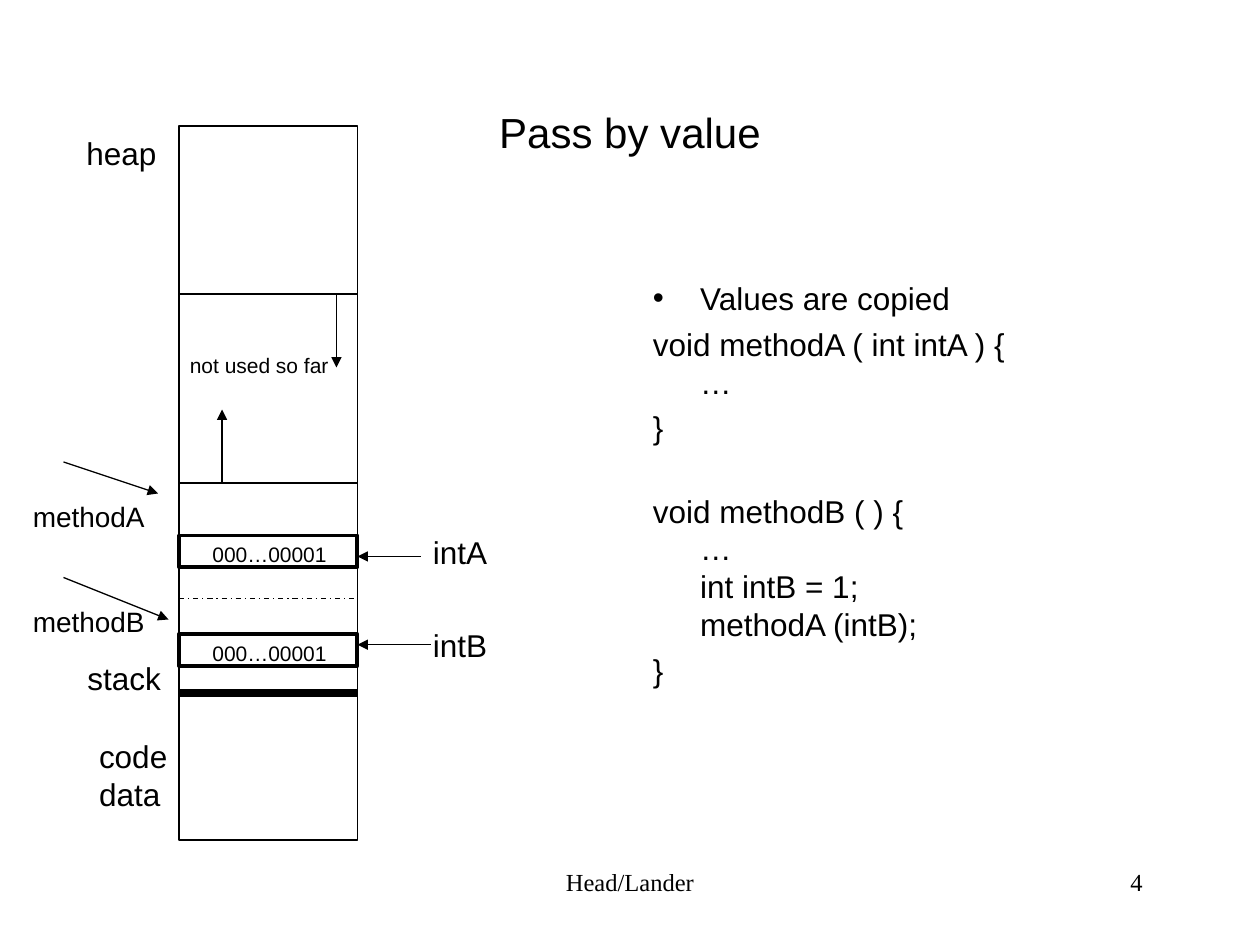
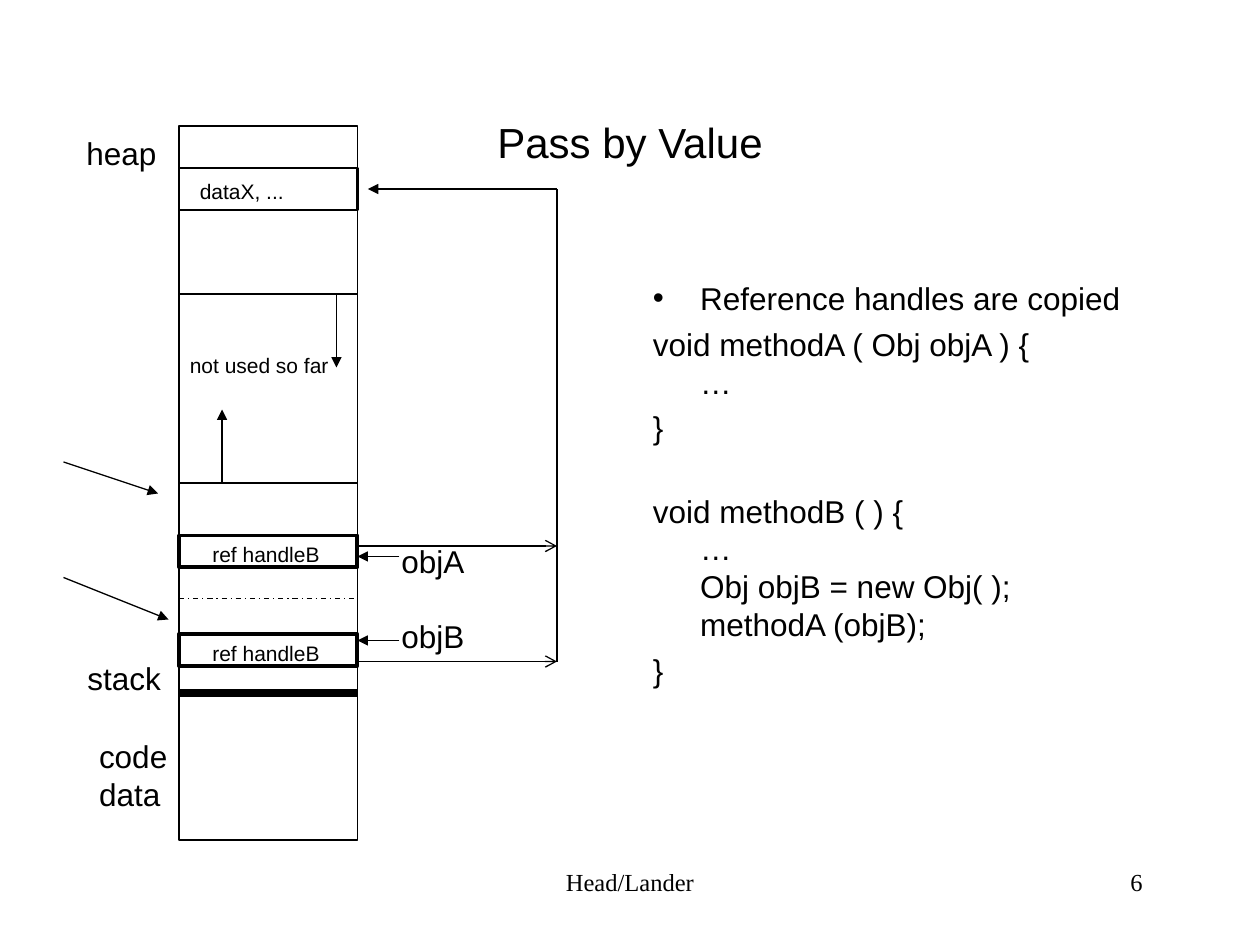
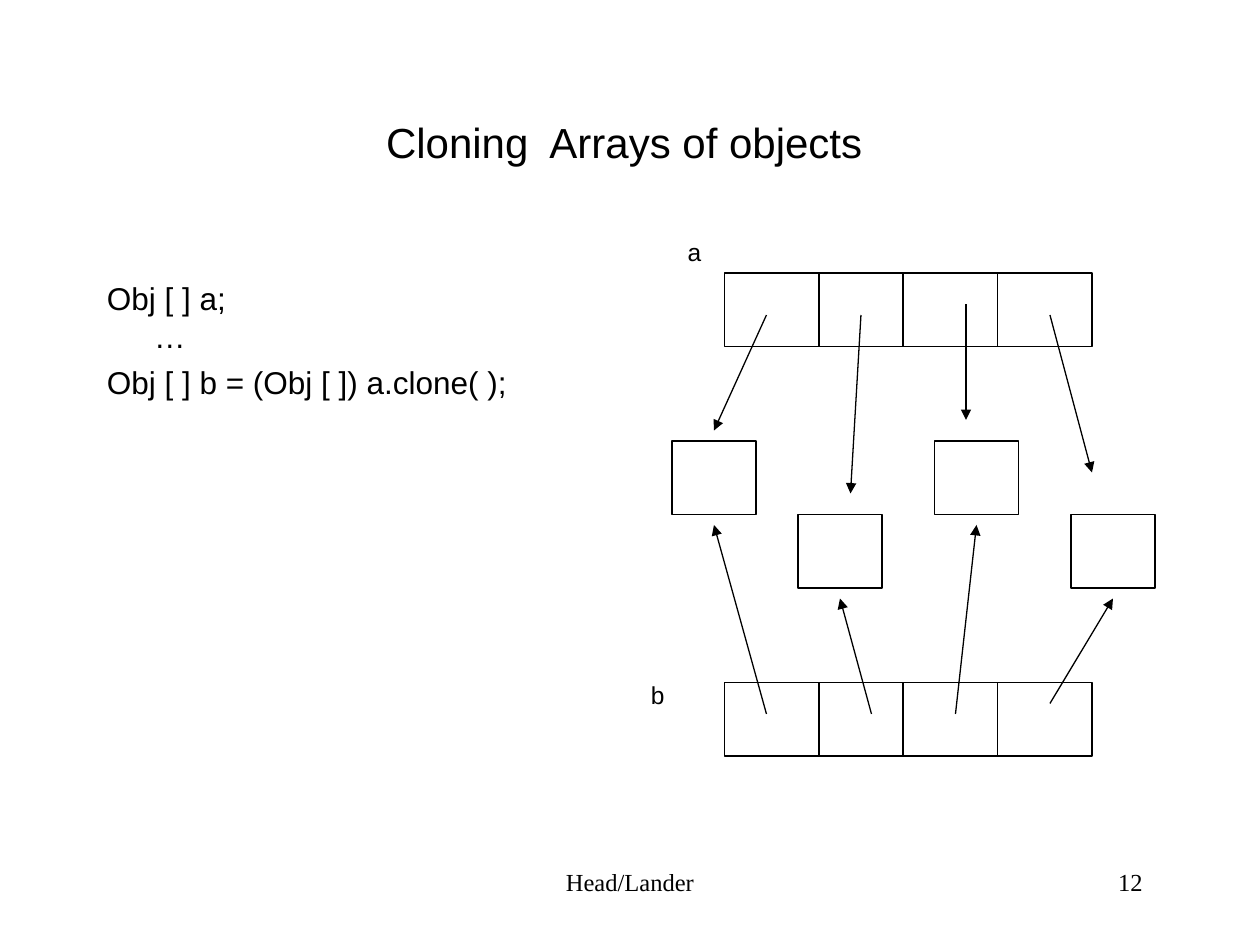
from dataclasses import dataclass
from lxml.etree import SubElement
from pptx import Presentation
from pptx.dml.color import RGBColor
from pptx.enum.dml import MSO_LINE
from pptx.enum.shapes import MSO_CONNECTOR, MSO_SHAPE
from pptx.enum.text import MSO_ANCHOR, MSO_AUTO_SIZE, PP_ALIGN
from pptx.oxml.ns import qn
from pptx.slide import Slide
from pptx.util import Inches, Pt


@dataclass(frozen=True)
class Theme:
    """Colours, fonts, type sizes and line widths of the deck."""
    ink: RGBColor = RGBColor(0, 0, 0)
    font: str = "Arial"
    footer_font: str = "Times New Roman"
    title: int = 24
    body: int = 18
    method: int = 16
    small: int = 14
    cell: int = 12
    thin: float = 0.75
    medium: float = 1.5
    bold: float = 2.25
    heavy: float = 4.5
    paragraph_gap: float = 4.5
    block_gap: float = 26


THEME = Theme()
CELLS_PER_INCH = 12
TITLE_ONLY = 5


def cells(count):
    """Turn a number of grid cells into a length."""
    return Inches(count / CELLS_PER_INCH)


def style_text(text_frame, size, font=THEME.font, align=PP_ALIGN.LEFT):
    """Give every run of a text frame the same look."""
    for paragraph in text_frame.paragraphs:
        paragraph.alignment = align
        for run in paragraph.runs:
            run.font.name = font
            run.font.size = Pt(size)
            run.font.color.rgb = THEME.ink


def style_line(line, width):
    """Set the colour and width of a line."""
    line.color.rgb = THEME.ink
    line.width = Pt(width)


@dataclass
class Region:
    """A box on the grid whose parts are placed from its top left corner."""
    slide: Slide
    left: float
    top: float
    width: float
    height: float

    def place(self, x, y):
        """Return the slide position of a point in the region."""
        return cells(self.left + x), cells(self.top + y)

    def rectangle(self, x, y, width, height, weight=THEME.thin):
        """Draw an unfilled rectangle."""
        shape = self.slide.shapes.add_shape(
            MSO_SHAPE.RECTANGLE, *self.place(x, y), cells(width), cells(height))
        shape.shadow.inherit = False
        shape.fill.background()
        style_line(shape.line, weight)

    def line(self, start, end, weight=THEME.thin, head=None, dash=None):
        """Draw a line, with an arrowhead at its end if one is named."""
        connector = self.slide.shapes.add_connector(
            MSO_CONNECTOR.STRAIGHT, *self.place(*start), *self.place(*end))
        style_line(connector.line, weight)
        if dash:
            connector.line.dash_style = dash
        properties = connector._element.spPr
        if head:
            SubElement(properties.find(qn("a:ln")), qn("a:tailEnd"), type=head)
        SubElement(properties, qn("a:effectLst"))

    def arrow(self, start, end):
        """Draw a line that ends in a filled arrowhead."""
        self.line(start, end, head="triangle")

    def text_box(self, x, y, width, height):
        """Add a wrapping text box and return its text frame."""
        shape = self.slide.shapes.add_textbox(
            *self.place(x, y), cells(width), cells(height))
        shape.text_frame.word_wrap = True
        return shape.text_frame

    def label(self, text, x, y, width, height, size=THEME.body):
        """Add a label that stays on its own lines."""
        text_frame = self.text_box(x, y, width, height)
        text_frame.text = text
        text_frame.word_wrap = False
        text_frame.auto_size = MSO_AUTO_SIZE.SHAPE_TO_FIT_TEXT
        style_text(text_frame, size)


def add_slide(presentation, title, number, title_height=11):
    """Add a slide with its title and footer."""
    slide = presentation.slides.add_slide(presentation.slide_layouts[TITLE_ONLY])
    shape = slide.shapes.title
    shape.left, shape.top = cells(9), cells(8)
    shape.width, shape.height = cells(102), cells(title_height)
    text_frame = shape.text_frame
    text_frame.text = title
    text_frame.auto_size = MSO_AUTO_SIZE.NONE
    text_frame.vertical_anchor = MSO_ANCHOR.MIDDLE
    style_text(text_frame, THEME.title, align=PP_ALIGN.CENTER)
    add_footer(Region(slide, 41, 82, 69, 6), number)
    return slide


def add_footer(region, number):
    """Write the authors and the slide number."""
    for text, x, width, align in (("Head/Lander", 0, 38, PP_ALIGN.CENTER),
                                  (str(number), 44, 25, PP_ALIGN.RIGHT)):
        text_frame = region.text_box(x, 0, width, region.height)
        text_frame.text = text
        style_text(text_frame, THEME.small, THEME.footer_font, align)


def add_code(region, blocks, bullet=None):
    """Write code blocks with hanging indents below an optional bullet."""
    text_frame = region.text_box(0, 0, region.width, region.height)
    lines = [line for block in blocks for line in block]
    starts = [block[0] for block in blocks[1:]]
    text_frame.text = "\n".join([bullet] * bool(bullet) + lines)
    for paragraph in text_frame.paragraphs:
        gap = THEME.block_gap if paragraph.text in starts else THEME.paragraph_gap
        paragraph.space_before = Pt(gap)
        properties = paragraph._p.get_or_add_pPr()
        properties.set("marL", str(cells(4.5)))
        properties.set("indent", str(-cells(4.5)))
        if paragraph.text == bullet:
            SubElement(properties, qn("a:buFont"), typeface=THEME.font)
            SubElement(properties, qn("a:buChar"), char="•")
    style_text(text_frame, THEME.body)


def add_memory(region, value, value_width):
    """Draw the memory column with heap, stack, code and two stack cells."""
    right = region.width
    region.rectangle(0, 0, right, region.height)
    for y, weight in ((16, THEME.thin), (34, THEME.thin), (54, THEME.heavy)):
        region.line((0, y), (right, y), weight)
    region.line((0, 45), (right, 45), dash=MSO_LINE.DASH_DOT)
    for start, end in (((15, 16), (15, 23)), ((4.1, 34), (4.1, 27)),
                       ((-11, 32), (-2, 35)), ((-11, 43), (-1, 47))):
        region.arrow(start, end)
    for y in (39, 48.4):
        region.rectangle(0, y, right, 3, THEME.bold)
        region.label(value, 2, y, value_width, 3.6, THEME.cell)
    region.label("not used so far", -0.15, 21, 15.6, 3.6, THEME.cell)
    region.label("heap", -10, 0.2, 9.4, 4.8)
    region.label("stack", -9.9, 50.2, 10, 4.8)
    region.label("code\vdata", -8.8, 57.6, 9, 8.4)


def add_variables(region, variables):
    """Name the variables and point from each name to its stack cell."""
    for name, x, y, width, arrow_start, arrow_y in variables:
        region.arrow((arrow_start, arrow_y), (region.width, arrow_y))
        region.label(name, x, y, width, 4.8)


def add_heap_object(region):
    """Draw the heap object and the lines that refer to it."""
    right, bend, object_y = region.width, 36, 6
    region.rectangle(0, 4, right, 4, THEME.medium)
    region.label("dataX, ...", 0.8, 4.4, 11, 3.6, THEME.cell)
    for y in (40, 51):
        region.line((right, y), (bend, y), head="arrow")
    region.line((bend, 51), (bend, object_y))
    region.arrow((bend, object_y), (right + 1, object_y))


def add_arrays(region):
    """Draw two arrays whose elements point to the same four objects."""
    array_left, array_width, array_height = 5, 35, 7
    for y in (0, region.height - array_height):
        region.rectangle(array_left, y, array_width, array_height)
        for divider in (9, 17, 26):
            x = array_left + divider
            region.line((x, y), (x, y + array_height))
    for x, y in ((0, 16), (12, 23), (25, 16), (38, 23)):
        region.rectangle(x, y, 8, 7)
    region.label("a", 0.3, -4, 3.7, 4.1, THEME.small)
    region.label("b", -3.2, 38.2, 3.7, 4.1, THEME.small)
    for start, end in (((9, 4), (4, 15)), ((18, 4), (17, 21)),
                       ((28, 3), (28, 14)), ((36, 4), (40, 19)),
                       ((9, 42), (4, 24)), ((19, 42), (16, 31)),
                       ((27, 42), (29, 24)), ((36, 41), (42, 31))):
        region.arrow(start, end)


def add_passing(slide, bullet, parameter, body, value, value_width, variables):
    """Lay out the memory column and the code of a parameter passing slide."""
    add_code(Region(slide, 61, 26, 50, 54),
             [[f"void methodA ( {parameter} ) {{\v…", "}"],
              [f"void methodB ( ) {{\v…\v{body}", "}"]], bullet)
    memory = Region(slide, 17.05, 12, 17, 68)
    add_memory(memory, value, value_width)
    add_variables(memory, variables)
    return memory


def main():
    """Build the three slides and save them."""
    presentation = Presentation()
    presentation.slide_width, presentation.slide_height = cells(120), cells(90)

    slide = add_slide(presentation, "Pass by value", 4, title_height=9)
    memory = add_passing(
        slide, "Values are copied", "int intA", "int intB = 1;\vmethodA (intB);",
        "000…00001", 13.4,
        [("intA", 23, 38.2, 7.7, 23, 41), ("intB", 23, 47, 7.7, 24, 49.4)])
    for name, y in (("methodA", 35), ("methodB", 45)):
        memory.label(name, -15.1, y, 13.2, 4.4, THEME.method)

    slide = add_slide(presentation, "Pass by Value", 6)
    memory = add_passing(
        slide, "Reference handles are copied", "Obj objA",
        "Obj objB = new Obj( );\vmethodA (objB);", "ref handleB", 12.7,
        [("objA", 20, 39, 8.5, 21, 41), ("objB", 20, 46.2, 8.5, 21, 49)])
    add_heap_object(memory)

    slide = add_slide(presentation, "Cloning  Arrays of objects ", 12)
    add_code(Region(slide, 9, 26, 50, 54),
             [["Obj [ ] a; \v…", "Obj [ ] b = (Obj [ ]) a.clone( );"]])
    add_arrays(Region(slide, 64, 26, 46, 46))

    presentation.save("out.pptx")


if __name__ == "__main__":
    main()
